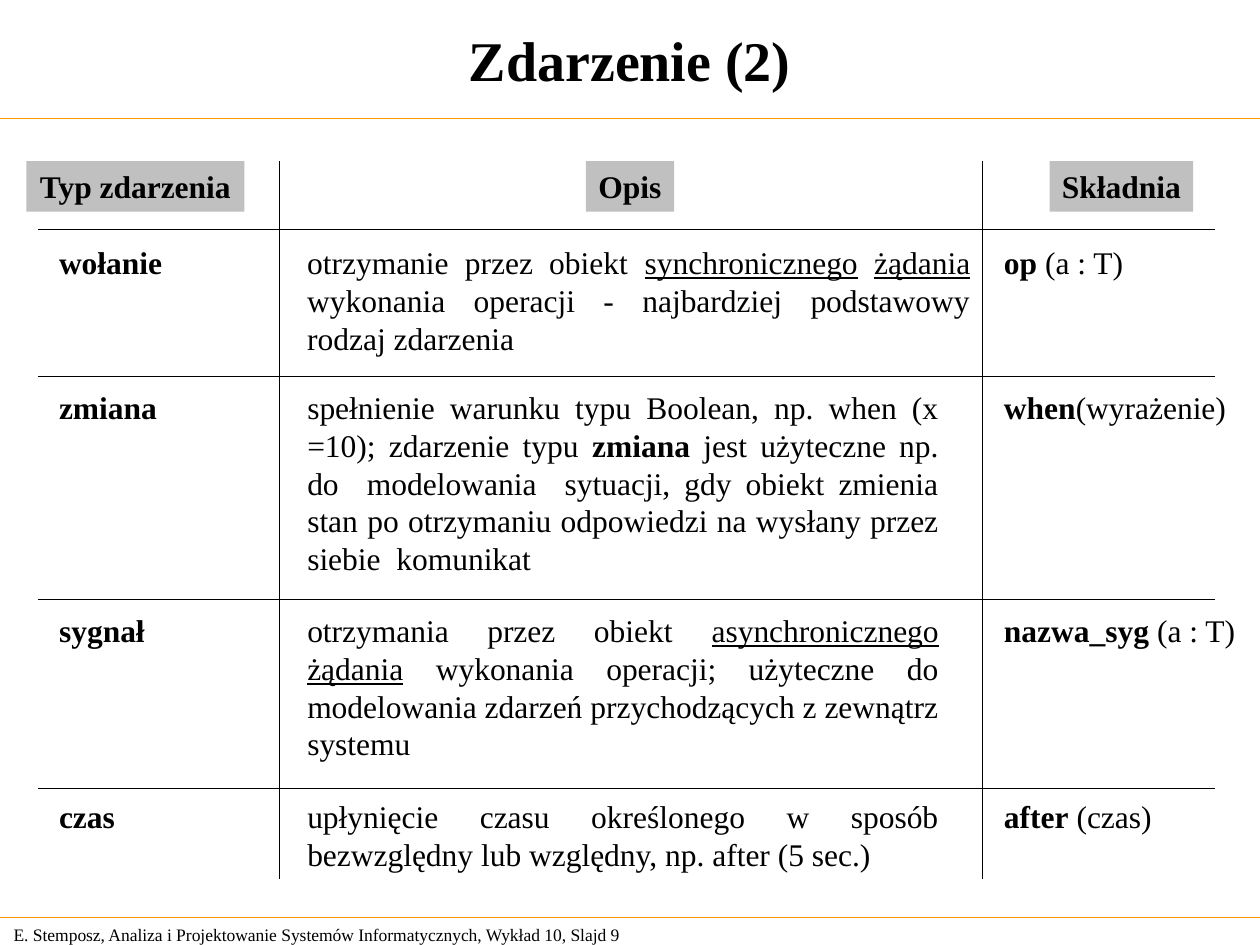
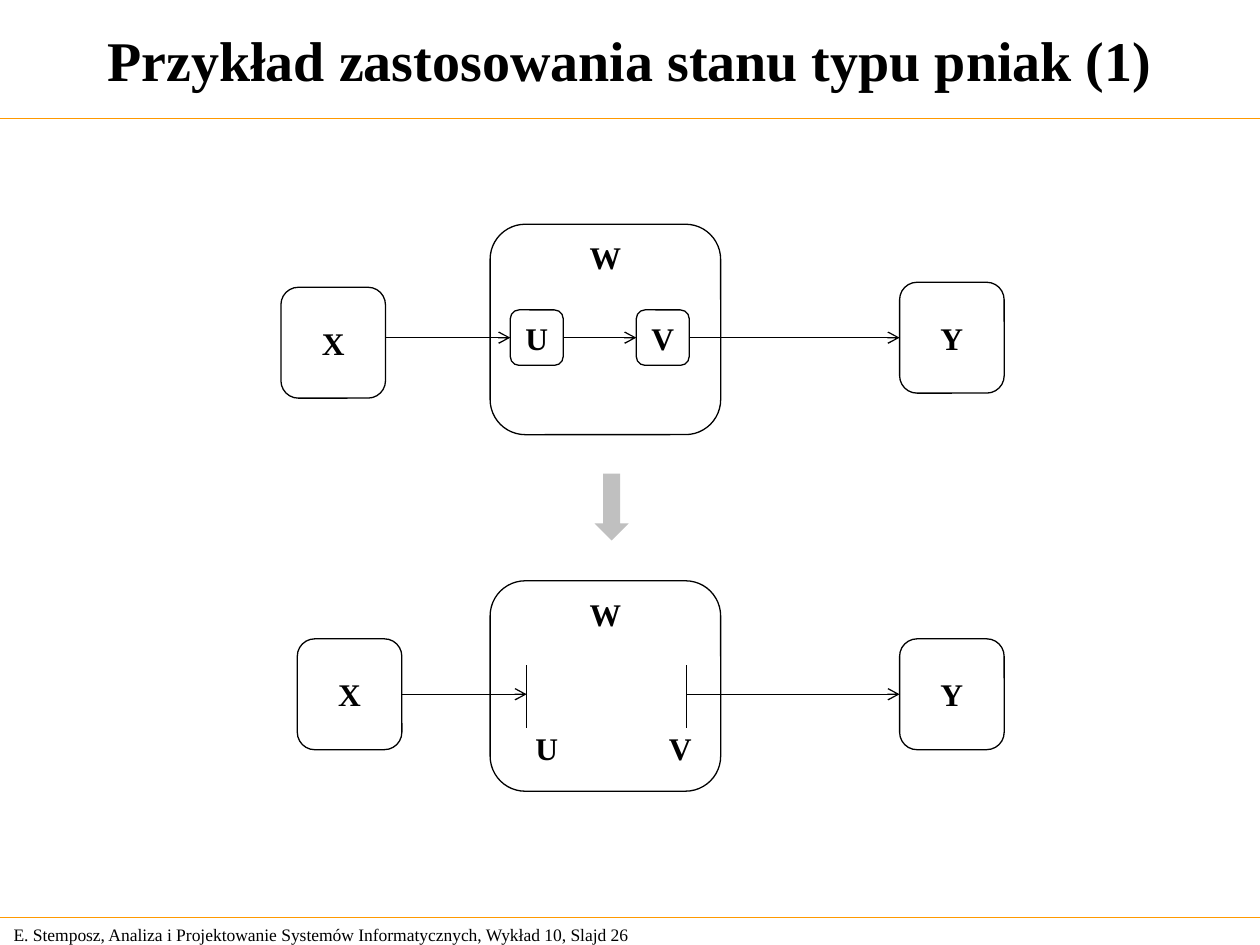
from itertools import pairwise

from lxml import etree
from pptx import Presentation
from pptx.dml.color import RGBColor
from pptx.enum.shapes import MSO_CONNECTOR, MSO_SHAPE
from pptx.enum.text import MSO_ANCHOR, MSO_AUTO_SIZE, PP_ALIGN
from pptx.oxml.ns import qn
from pptx.util import Inches, Pt

STRAIGHT = MSO_CONNECTOR.STRAIGHT
RECT, ROUND_RECT, DOWN_ARROW = (
    MSO_SHAPE.RECTANGLE, MSO_SHAPE.ROUNDED_RECTANGLE, MSO_SHAPE.DOWN_ARROW)
TOP, MIDDLE = MSO_ANCHOR.TOP, MSO_ANCHOR.MIDDLE
LEFT, CENTER, JUSTIFY = PP_ALIGN.LEFT, PP_ALIGN.CENTER, PP_ALIGN.JUSTIFY
LEFT_SIDE, RIGHT_SIDE = 1, 3

WIDTH, HEIGHT = 10, 7.5
FONT = "Times New Roman"
BLACK, WHITE, GRAY, ORANGE = "000000", "FFFFFF", "C0C0C0", "FF9900"
BODY_SIZE, TITLE_SIZE, FOOTER_SIZE = 18, 32, 10
STYLES = {"": {}, "b": {"bold": True}, "u": {"underline": True}}
FOOTER = ("E. Stemposz, Analiza i Projektowanie Systemów Informatycznych, "
          "Wykład 10, Slajd {}")
RULE_ROWS = (0.94, 7.28)

# Event table grid
EDGE_LEFT, EDGE_RIGHT = 0.3, 9.64
COLUMN_LINES = (2.22, 7.8)
TABLE_TOP, TABLE_BOTTOM = 1.28, 6.98
ROW_LINES = (1.82, 2.99, 4.76, 6.26)
TEXT_ROWS = (1.88, 3.03, 4.8, 6.28)
NAME_X, DESCRIPTION_X, SYNTAX_X = 0.37, 2.34, 7.87
HEADERS = (("Typ zdarzenia", 0.21, 1.73), ("Opis", 4.65, 0.7), ("Składnia", 8.33, 1.14))
EVENTS = (
    ("wołanie", 5.46,
     [("otrzymanie przez obiekt ", ""), ("synchronicznego", "u"), (" ", ""),
      ("żądania", "u"),
      (" wykonania operacji - najbardziej podstawowy rodzaj zdarzenia", "")],
     [("op", "b"), (" (a : T)", "")]),
    ("zmiana", 5.21,
     [("spełnienie warunku typu Boolean, np. when (x =10); zdarzenie typu ", ""),
      ("zmiana", "b"),
      (" jest użyteczne np. do  modelowania  sytuacji, gdy obiekt zmienia stan "
       "po otrzymaniu odpowiedzi na wysłany przez siebie  komunikat", "")],
     [("when", "b"), ("(wyrażenie)", "")]),
    ("sygnał", 5.21,
     [("otrzymania przez obiekt ", ""), ("asynchronicznego", "u"), (" ", ""),
      ("żądania", "u"),
      (" wykonania operacji; użyteczne do modelowania zdarzeń przychodzących "
       "z zewnątrz systemu", "")],
     [("nazwa_syg", "b"), (" (a : T)", "")]),
    ("czas", 5.21,
     [("upłynięcie czasu określonego w sposób bezwzględny lub względny, "
       "np. after (5 sec.)", "")],
     [("after", "b"), (" (czas)", "")]),
)

# State diagrams
W_X, W_WIDTH, W_HEIGHT, W_RISE = 3.89, 1.83, 1.67, 0.9
STATE_SIZE, INNER_SIZE = (0.83, 0.88), (0.42, 0.44)
Y_X = 7.14
UPPER, LOWER = 2.68, 5.51


def rgb(color):
    return RGBColor.from_string(color)


def write(sp, runs, size=BODY_SIZE, align=LEFT, anchor=TOP, wrap=True):
    tf = sp.text_frame
    frame = {"word_wrap": wrap, "vertical_anchor": anchor,
             "auto_size": MSO_AUTO_SIZE.NONE,
             "margin_left": Inches(0.1), "margin_right": Inches(0.1),
             "margin_top": Inches(0.05), "margin_bottom": Inches(0.05)}
    for name, value in frame.items():
        setattr(tf, name, value)
    p = tf.paragraphs[0]
    p.alignment = align
    for text, style in runs:
        r = p.add_run()
        r.text = text
        font = {"name": FONT, "size": Pt(size), "bold": False} | STYLES[style]
        for name, value in font.items():
            setattr(r.font, name, value)
        r.font.color.rgb = rgb(BLACK)


def add_text(slide, x, y, w, h, runs, **fmt):
    sp = slide.shapes.add_textbox(*map(Inches, (x, y, w, h)))
    write(sp, runs, **fmt)


def add_label(slide, text, x, y):
    """Bold letter centred on x."""
    add_text(slide, x - 0.25, y, 0.5, 0.4, [(text, "b")], align=CENTER, wrap=False)


def add_block(slide, kind, x, y, w, h, fill, line=None):
    sp = slide.shapes.add_shape(kind, *map(Inches, (x, y, w, h)))
    sp.shadow.inherit = False
    sp.fill.solid()
    sp.fill.fore_color.rgb = rgb(fill)
    if line:
        sp.line.color.rgb = rgb(line)
        sp.line.width = Pt(0.75)
    else:
        sp.line.fill.background()
    return sp


def add_state(slide, x, middle, size, text):
    w, h = size
    sp = add_block(slide, ROUND_RECT, x, middle - h / 2, w, h, WHITE, BLACK)
    write(sp, [(text, "b")], align=CENTER, anchor=MIDDLE, wrap=False)
    return sp


def add_line(slide, x1, y1, x2, y2, color=BLACK):
    line = slide.shapes.add_connector(STRAIGHT, *map(Inches, (x1, y1, x2, y2)))
    line.line.color.rgb = rgb(color)
    line.line.width = Pt(0.75)
    etree.SubElement(line._element.spPr, qn("a:effectLst"))
    return line


def add_arrow(slide, y, start, end):
    """Arrow at height y; each end is a state to join or a plain x."""
    x1, x2 = (v if isinstance(v, (int, float)) else 0 for v in (start, end))
    arrow = add_line(slide, x1, y, x2, y)
    if start is not x1:
        arrow.begin_connect(start, RIGHT_SIDE)
    if end is not x2:
        arrow.end_connect(end, LEFT_SIDE)
    etree.SubElement(arrow.line._get_or_add_ln(), qn("a:tailEnd"), type="arrow")


def add_slide(prs, title, number):
    slide = prs.slides.add_slide(prs.slide_layouts[5])
    sp = slide.shapes.title
    sp.left, sp.top, sp.width, sp.height = map(Inches, (0.04, 0.04, WIDTH - 0.08, 0.85))
    write(sp, [(title, "b")], size=TITLE_SIZE, align=CENTER, anchor=MIDDLE)
    for y in RULE_ROWS:
        add_line(slide, 0, y, WIDTH, y, ORANGE)
    add_text(slide, 0.01, RULE_ROWS[1], 5.24, 0.27, [(FOOTER.format(number), "")],
             size=FOOTER_SIZE, anchor=MIDDLE)
    return slide


def add_event_table(slide):
    for text, x, w in HEADERS:
        sp = add_block(slide, RECT, x, TABLE_TOP, w, 0.4, GRAY)
        write(sp, [(text, "b")], wrap=False, align=CENTER)
    bottoms = (*ROW_LINES[1:], TABLE_BOTTOM)
    for y, bottom, (name, width, description, syntax) in zip(TEXT_ROWS, bottoms, EVENTS):
        h = bottom - y
        add_text(slide, NAME_X, y, COLUMN_LINES[0] - NAME_X, h, [(name, "b")])
        add_text(slide, DESCRIPTION_X, y, width, h, description, align=JUSTIFY)
        add_text(slide, SYNTAX_X, y, WIDTH - SYNTAX_X, h, syntax)
    for x in COLUMN_LINES:
        add_line(slide, x, TABLE_TOP, x, TABLE_BOTTOM)
    for y in ROW_LINES:
        add_line(slide, EDGE_LEFT, y, EDGE_RIGHT, y)


def add_outer_states(slide, middle, x_left, x_middle):
    """States X, W and Y; returns X and Y."""
    x_state = add_state(slide, x_left, x_middle, STATE_SIZE, "X")
    top = middle - W_RISE
    add_block(slide, ROUND_RECT, W_X, top, W_WIDTH, W_HEIGHT, WHITE, BLACK)
    add_label(slide, "W", W_X + W_WIDTH / 2, top + 0.06)
    return x_state, add_state(slide, Y_X, middle, STATE_SIZE, "Y")


def add_nested_diagram(slide):
    x_left = 2.23
    _, y_state = add_outer_states(slide, UPPER, x_left, UPPER + 0.04)
    u_state = add_state(slide, 4.05, UPPER, INNER_SIZE, "U")
    v_state = add_state(slide, 5.05, UPPER, INNER_SIZE, "V")
    stops = (x_left + STATE_SIZE[0], u_state, v_state, y_state)
    for start, end in pairwise(stops):
        add_arrow(slide, UPPER, start, end)


def add_stub_diagram(slide):
    x_state, y_state = add_outer_states(slide, LOWER, 2.36, LOWER)
    u_bar, v_bar = 4.18, 5.45
    for text, bar, label_x in (("U", u_bar, 4.34), ("V", v_bar, 5.4)):
        add_line(slide, bar, LOWER - 0.23, bar, LOWER + 0.27)
        add_label(slide, text, label_x, LOWER + 0.23)
    add_arrow(slide, LOWER, x_state, u_bar)
    add_arrow(slide, LOWER, v_bar, y_state)


def main():
    prs = Presentation()
    prs.slide_width, prs.slide_height = Inches(WIDTH), Inches(HEIGHT)

    add_event_table(add_slide(prs, "Zdarzenie (2)", 9))

    slide = add_slide(prs, "Przykład zastosowania stanu typu pniak (1)", 26)
    add_nested_diagram(slide)
    add_block(slide, DOWN_ARROW, 4.72, 3.76, 0.27, 0.53, GRAY)
    add_stub_diagram(slide)

    prs.save("out.pptx")


if __name__ == "__main__":
    main()
